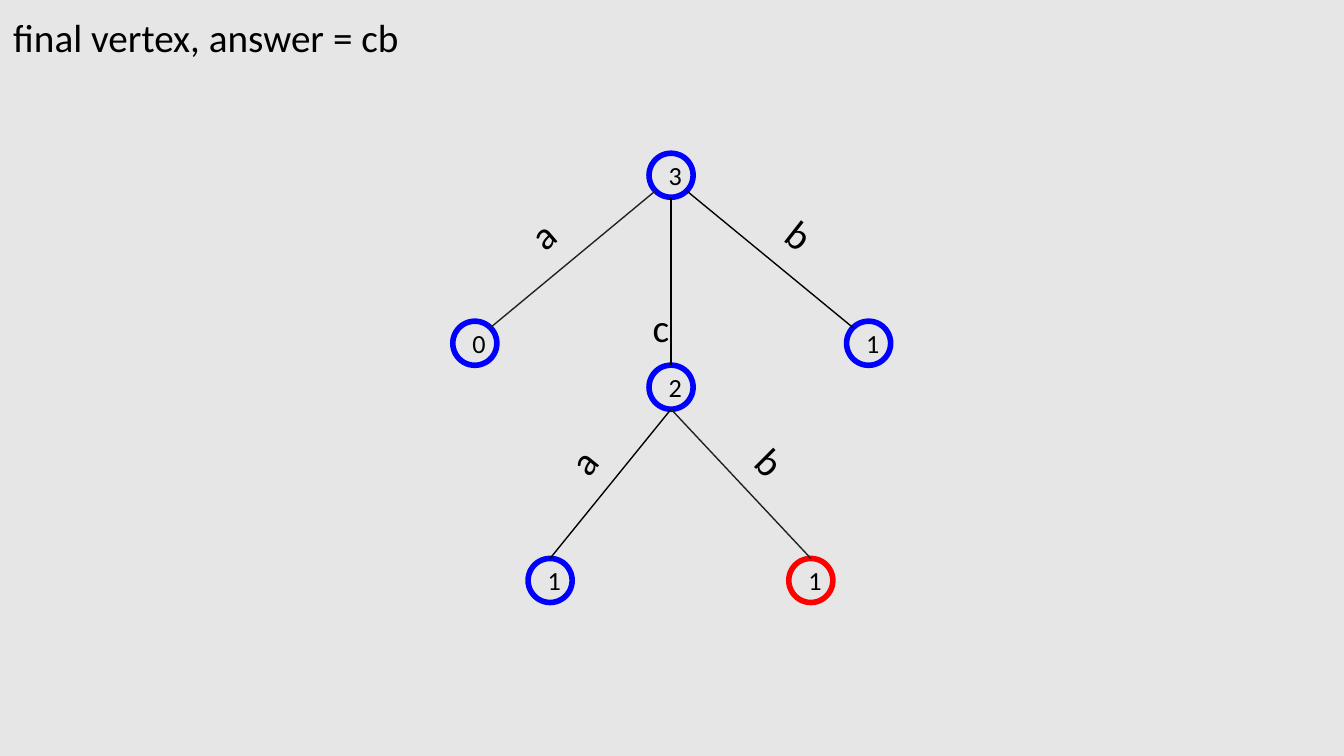
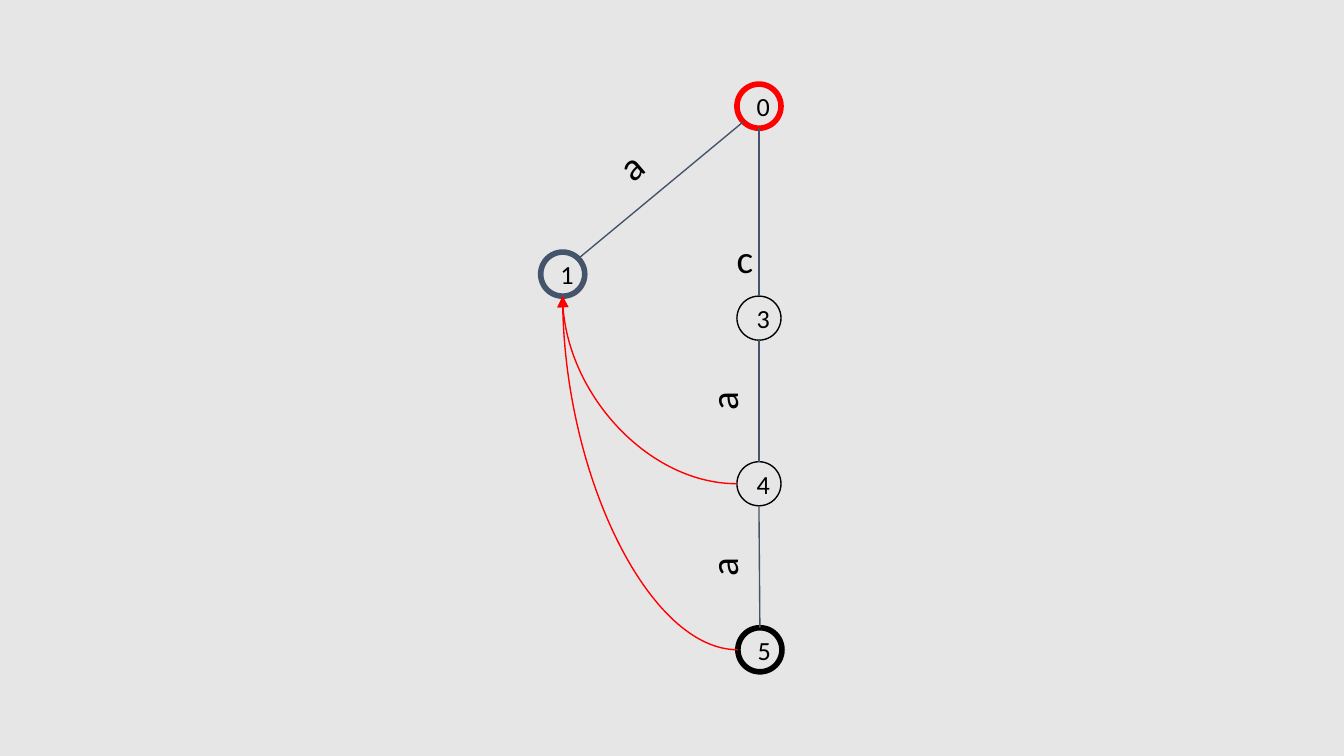
from math import cos, radians, sin
from typing import NamedTuple

from lxml.etree import SubElement
from pptx import Presentation
from pptx.dml.color import RGBColor
from pptx.enum.shapes import MSO_CONNECTOR, MSO_SHAPE
from pptx.enum.text import MSO_ANCHOR, MSO_AUTO_SIZE, PP_ALIGN
from pptx.oxml.ns import qn
from pptx.util import Inches, Pt

COLUMNS, ROWS = 100, 56.25
CELL = Inches(10) / COLUMNS
BACKGROUND, BLACK, BLUE, RED, SLATE = "E7E6E6", "000000", "0000FF", "FF0000", "44546A"
FONT = "Calibri"
THICK, THIN = 3, 0.75
DIAMETER = 3.28
LABEL_WIDTH, LABEL_HEIGHT = 8.8, 5.6
TOP, TOP_LEFT, LEFT, BOTTOM_LEFT, BOTTOM, BOTTOM_RIGHT = range(6)


class Vertex(NamedTuple):
    """A circled number; its centre is in cells from the root."""
    column: float
    row: float
    number: str
    colour: str = BLUE
    weight: float = THICK
    align: PP_ALIGN = PP_ALIGN.CENTER


class Edge(NamedTuple):
    """A line between two named vertices, from one site to another."""
    start: str
    start_site: int
    end: str
    end_site: int
    colour: str = BLACK
    curved: bool = False


class Label(NamedTuple):
    """A letter beside an edge; its centre is in cells from the root."""
    column: float
    row: float
    letter: str
    angle: float = 0


A_LABEL = Label(-9.56, 4.45, "a", 319.4)


def cells(count):
    """Turn a number of grid cells into a length."""
    return round(count * CELL)


def colour_of(value):
    """Turn a hex string into a colour."""
    return RGBColor.from_string(value)


def write(shape, text, size, align):
    """Set one styled paragraph in a shape."""
    frame = shape.text_frame
    frame.text = text
    frame.word_wrap = True
    frame.margin_left = frame.margin_right = cells(1)
    frame.margin_top = frame.margin_bottom = cells(1)
    para = frame.paragraphs[0]
    para.alignment = align
    font = para.runs[0].font
    font.name, font.size = FONT, Pt(size)
    font.color.rgb = colour_of(BLACK)
    return frame


def add_text(page, box, text, align=PP_ALIGN.CENTER, angle=0):
    """Place a text box that grows with its text."""
    shape = page.shapes.add_textbox(*map(cells, box))
    shape.rotation = angle
    write(shape, text, 21, align).auto_size = MSO_AUTO_SIZE.SHAPE_TO_FIT_TEXT


def add_vertex(page, root, vertex):
    """Draw a circled number and return its shape."""
    left = root[0] + vertex.column - DIAMETER / 2
    top = root[1] + vertex.row - DIAMETER / 2
    circle = page.shapes.add_shape(
        MSO_SHAPE.OVAL, *map(cells, (left, top, DIAMETER, DIAMETER)))
    circle.shadow.inherit = False
    circle.fill.solid()
    circle.fill.fore_color.rgb = colour_of(BACKGROUND)
    circle.line.color.rgb = colour_of(vertex.colour)
    circle.line.width = Pt(vertex.weight)
    write(circle, vertex.number, 14, vertex.align).vertical_anchor = MSO_ANCHOR.MIDDLE
    return circle


def site_point(circle, site):
    """Find one of the eight sites, counted anticlockwise from the top."""
    angle, radius = radians(45 * site), circle.width / 2
    return (round(circle.left + radius * (1 - sin(angle))),
            round(circle.top + radius * (1 - cos(angle))))


def add_edge(page, circles, edge):
    """Join two circles; a curved edge ends in an arrowhead."""
    ends = ((circles[edge.start], edge.start_site), (circles[edge.end], edge.end_site))
    kind = MSO_CONNECTOR.CURVE if edge.curved else MSO_CONNECTOR.STRAIGHT
    line = page.shapes.add_connector(kind, *site_point(*ends[0]), *site_point(*ends[1]))
    line.line.color.rgb = colour_of(edge.colour)
    line.line.width = Pt(THIN)
    element = line._element
    joints = element.find(qn("p:nvCxnSpPr")).find(qn("p:cNvCxnSpPr"))
    for tag, (circle, site) in zip(("a:stCxn", "a:endCxn"), ends):
        SubElement(joints, qn(tag), id=str(circle.shape_id), idx=str(site))
    properties = element.find(qn("p:spPr"))
    if edge.curved:
        properties.find(qn("a:prstGeom")).set("prst", "curvedConnector2")
        SubElement(properties.find(qn("a:ln")), qn("a:tailEnd"), type="triangle")
    SubElement(properties, qn("a:effectLst"))


def draw_tree(page, root, vertices, edges, labels):
    """Draw a tree whose root is centred on the given cell."""
    circles = {name: add_vertex(page, root, vertex) for name, vertex in vertices.items()}
    for edge in edges:
        add_edge(page, circles, edge)
    for label in labels:
        left = root[0] + label.column - LABEL_WIDTH / 2
        top = root[1] + label.row - LABEL_HEIGHT / 2
        add_text(page, (left, top, LABEL_WIDTH, LABEL_HEIGHT), label.letter, angle=label.angle)


def add_page(deck):
    """Add a blank page with the shared background."""
    page = deck.slides.add_slide(deck.slide_layouts[6])
    page.background.fill.solid()
    page.background.fill.fore_color.rgb = colour_of(BACKGROUND)
    return page


def build_answer(page):
    """Draw the counted tree with its final vertex marked."""
    vertices = {
        "root": Vertex(0, 0, "3"),
        "a": Vertex(-14.6, 12.5, "0"),
        "c": Vertex(0, 15.77, "2"),
        "b": Vertex(14.7, 12.5, "1"),
        "ca": Vertex(-9, 30.15, "1"),
        "cb": Vertex(10.4, 30.15, "1", RED, align=PP_ALIGN.LEFT),
    }
    edges = [
        Edge("root", BOTTOM_RIGHT, "b", TOP_LEFT),
        Edge("a", 7, "root", BOTTOM_LEFT, "222222"),
        Edge("root", BOTTOM, "c", TOP),
        Edge("c", BOTTOM, "ca", TOP),
        Edge("c", BOTTOM, "cb", TOP, "202122"),
    ]
    labels = [A_LABEL, Label(9.56, 4.45, "b", 38), Label(-0.75, 11.35, "c"),
              Label(7.37, 21.35, "b", 45), Label(-6.53, 21.35, "a", 309.2)]
    draw_tree(page, (49.93, 13.04), vertices, edges, labels)
    add_text(page, (0, 0, COLUMNS, LABEL_HEIGHT), "final vertex, answer = cb", PP_ALIGN.LEFT)


def build_links(page):
    """Draw the tree with curved links back to the first vertex."""
    vertices = {
        "root": Vertex(0, 0, "0", RED),
        "a": Vertex(-14.6, 12.5, "1", SLATE),
        "c": Vertex(0, 15.77, "3", BLACK, THIN),
        "ca": Vertex(0, 28.1, "4", BLACK, THIN),
        "caa": Vertex(0.07, 40.45, "5", BLACK),
    }
    chain = ["root", "c", "ca", "caa"]
    edges = [Edge("a", 7, "root", BOTTOM_LEFT, SLATE)]
    edges += [Edge(upper, BOTTOM, lower, TOP, SLATE) for upper, lower in zip(chain, chain[1:])]
    edges += [Edge(name, LEFT, "a", BOTTOM, RED, True) for name in ("caa", "ca")]
    labels = [A_LABEL, Label(-1.05, 11.35, "c"),
              *(Label(-2.67, row, "a", 270) for row in (21.95, 34.3))]
    draw_tree(page, (56.47, 7.9), vertices, edges, labels)


def main():
    """Build and save the deck."""
    deck = Presentation()
    deck.slide_width, deck.slide_height = cells(COLUMNS), cells(ROWS)
    for build in (build_answer, build_links):
        build(add_page(deck))
    deck.save("out.pptx")


if __name__ == "__main__":
    main()
